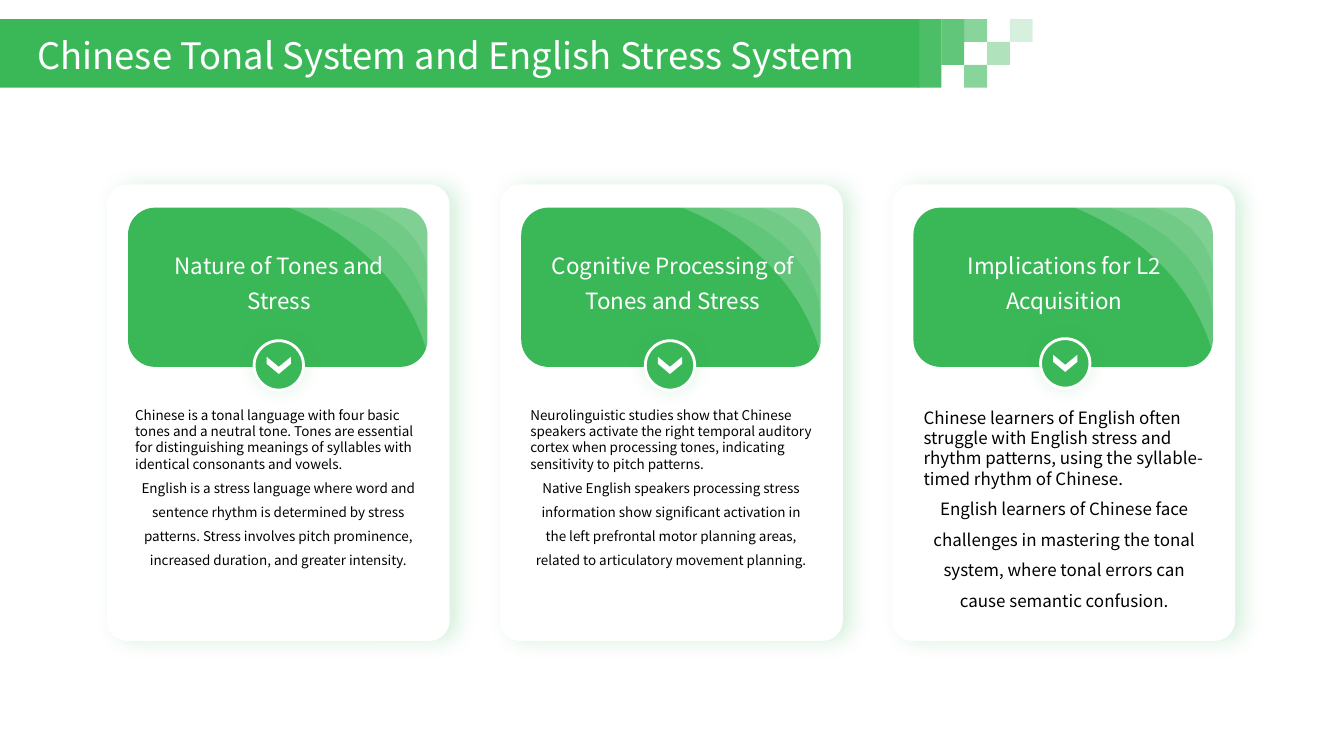
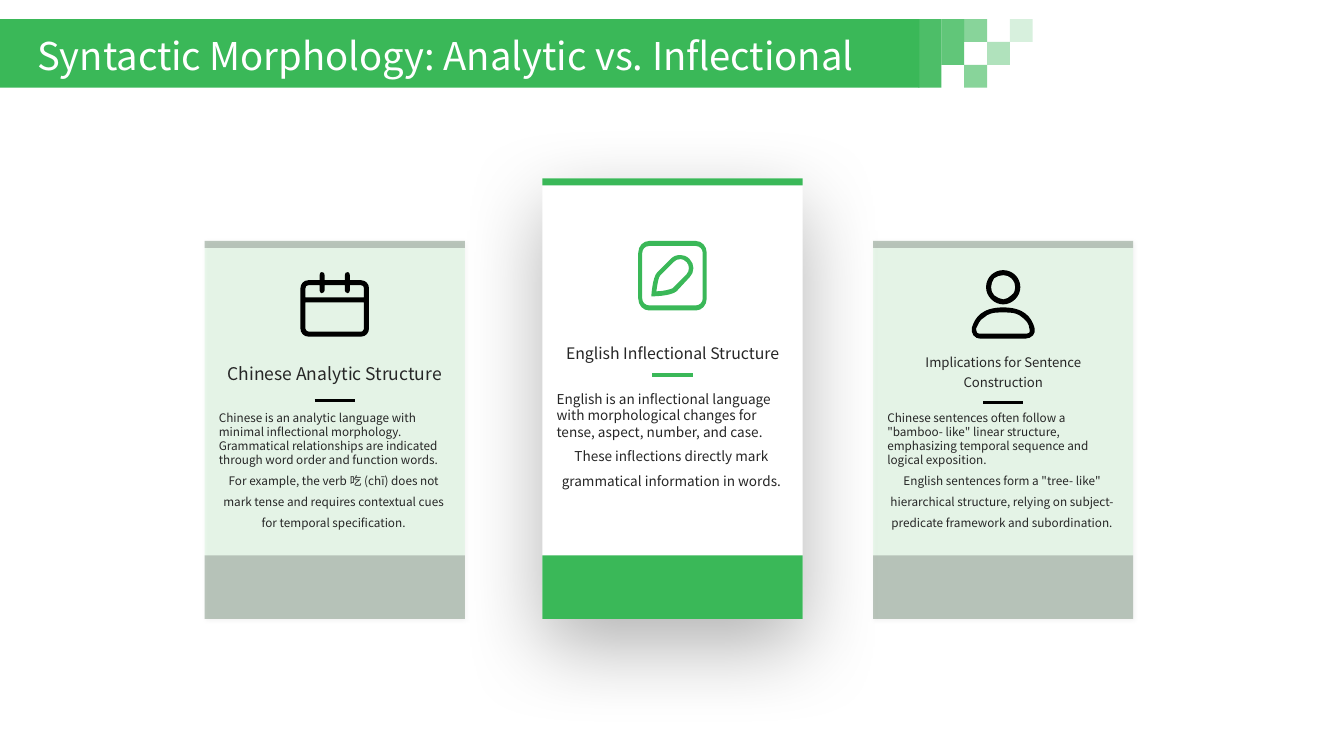
from dataclasses import dataclass

from lxml.etree import SubElement
from pptx import Presentation
from pptx.dml.color import RGBColor
from pptx.enum.shapes import MSO_CONNECTOR, MSO_SHAPE
from pptx.enum.text import MSO_ANCHOR, PP_ALIGN
from pptx.oxml.ns import qn
from pptx.util import Inches, Pt


@dataclass(frozen=True)
class Theme:
    font: str = "Noto Sans CJK SC"
    green: str = "3AB858"
    mint: str = "C2F1C8"
    white: str = "FFFFFF"
    black: str = "000000"
    ink: str = "262626"
    card_heading: float = 16
    card_body: float = 9.6
    card_body_large: float = 12.1
    column_body: float = 8.4
    column_body_large: float = 9.7


@dataclass(frozen=True)
class Shadow:
    color: str
    alpha: int
    blur: float
    dist: float
    angle: int


THEME = Theme()
CARD_GLOW = Shadow(THEME.green, 20, 13.8, 5.8, 0)
BADGE_GLOW = Shadow(THEME.green, 15, 11.5, 0, 0)
SIDE_SHADOW = Shadow(THEME.black, 15, 3, 1, 45)
CENTER_SHADOW = Shadow(THEME.black, 30, 60, 20, 90)

# Outlines in hundredths of an inch, as move, line, curve and close commands.
GLARE = "M 0 0 L 90 0 C 95 0 100 4 100 8 L 100 100 L 98 88 C 88 50 55 18 10 3 L 0 0 Z"
CALENDAR = """
M 5 30 L 5 56 C 5 56 5 57 6 58 C 6 58 7 59 8 59 L 60 59 C 61 59 62 59 62 58
C 63 57 63 56 63 56 L 63 30 Z
M 8 13 C 6 13 5 14 5 16 L 5 25 L 63 25 L 63 16 C 63 14 62 13 60 13 L 49 13 L 49 18
C 49 19 48 21 47 21 C 45 21 44 19 44 18 L 44 13 L 24 13 L 24 18
C 24 19 23 21 21 21 C 20 21 19 19 19 18 L 19 13 Z
M 21 0 C 23 0 24 1 24 3 L 24 8 L 44 8 L 44 3 C 44 1 45 0 47 0 C 48 0 49 1 49 3
L 49 8 L 60 8 C 65 8 68 12 68 16 L 68 56 C 68 60 65 64 60 64 L 8 64
C 3 64 0 60 0 56 L 0 16 C 0 12 3 8 8 8 L 19 8 L 19 3 C 19 1 20 0 21 0 Z"""
PENCIL = """
M 42 18 C 39 18 37 19 35 21 L 22 34 C 20 36 19 43 18 50 C 25 50 32 48 34 47
L 48 33 C 51 30 51 24 48 21 C 46 19 44 18 42 18 Z
M 42 14 C 45 14 48 15 51 18 C 56 23 56 31 51 36 L 38 50 C 32 55 13 55 13 55
C 13 55 14 36 19 31 L 32 18 C 35 15 38 14 42 14 Z
M 11 5 C 7 5 4 8 4 12 L 4 57 C 4 61 7 64 11 64 L 57 64 C 61 64 64 61 64 57
L 64 12 C 64 8 61 5 57 5 Z
M 11 0 L 57 0 C 63 0 68 5 68 12 L 68 57 C 68 64 63 69 57 69 L 11 69
C 5 69 0 64 0 57 L 0 12 C 0 5 5 0 11 0 Z"""
PERSON = """
M 32 5 C 35 5 38 6 40 8 C 43 11 44 14 44 17 C 44 20 43 23 40 25 C 38 27 35 29 32 29
C 29 29 26 27 23 25 C 21 23 20 20 20 17 C 20 14 21 11 23 8 C 26 6 29 5 32 5 Z
M 32 0 C 23 0 15 7 15 17 C 15 26 23 34 32 34 C 41 34 49 26 49 17 C 49 7 41 0 32 0 Z
M 32 42 C 36 42 40 42 44 43 C 47 44 49 45 51 47 C 53 48 54 50 56 52
C 57 54 58 56 58 58 C 59 60 58 61 58 62 C 57 63 55 63 54 63 L 10 63
C 8 63 7 63 6 62 C 6 61 5 60 5 58 C 6 56 7 54 8 52 C 9 50 11 48 13 47
C 15 45 17 44 20 43 C 23 42 27 42 32 42 Z
M 32 37 C 11 37 4 47 1 57 C 0 63 3 68 10 68 L 54 68 C 60 68 65 63 63 57
C 60 47 53 37 32 37 Z"""


def read_outline(outline):
    """Split outline commands into contours of points and a list of segment kinds."""
    contours, kinds, tokens = [], [], iter(outline.split())
    for command in tokens:
        if command == "Z":
            continue
        count = 3 if command == "C" else 1
        points = [(float(next(tokens)), float(next(tokens))) for _ in range(count)]
        if command == "M":
            contours.append(points)
        else:
            contours[-1] += points
            kinds.append(command)
    return contours, kinds


def bend(sp, kinds):
    """Join each three line segments that stand for a curve into one Bezier segment."""
    segments = iter(list(sp.element.iter(qn("a:lnTo"))))
    for kind in kinds:
        first = next(segments)
        if kind == "C":
            first.tag = qn("a:cubicBezTo")
            for _ in range(2):
                extra = next(segments)
                first.append(extra[0])
                extra.getparent().remove(extra)


class Deck:
    def __init__(self, theme):
        self.theme = theme
        self.prs = Presentation()
        self.prs.slide_width, self.prs.slide_height = Inches(13.33), Inches(7.5)
        self.s = None

    def new_slide(self, title, size):
        self.s = self.prs.slides.add_slide(self.prs.slide_layouts[6])
        left, top, height = 9.11, 0.19, 0.68
        unit = height / 3
        green = self.theme.green
        self.shape(0, top, left + 0.01, height, green)
        for col, row, rows, alpha in ((0, 0, 3, 90), (1, 0, 2, 80), (2, 0, 1, 60),
                                      (2, 2, 1, 60), (3, 1, 1, 40), (4, 0, 1, 20)):
            self.shape(left + col * unit, top + row * unit, unit, rows * unit, green, alpha)
        self.text(0.37, 0.27, 8.73, 0.47, title, size, self.theme.white, 1.2, PP_ALIGN.LEFT)

    def paint(self, sp, color, alpha=100, shadow=None):
        sp.fill.solid()
        sp.fill.fore_color.rgb = RGBColor.from_string(color)
        sp.line.fill.background()
        sp.shadow.inherit = False
        props = sp.element.spPr
        if alpha < 100:
            SubElement(props.find(qn("a:solidFill"))[0], qn("a:alpha"), val=str(alpha * 1000))
        if shadow:
            outer = SubElement(props.find(qn("a:effectLst")), qn("a:outerShdw"),
                               blurRad=str(Pt(shadow.blur)), dist=str(Pt(shadow.dist)),
                               dir=str(shadow.angle * 60000), algn="ctr", rotWithShape="0")
            clr = SubElement(outer, qn("a:srgbClr"), val=shadow.color)
            SubElement(clr, qn("a:alpha"), val=str(shadow.alpha * 1000))

    def shape(self, x, y, w, h, color, alpha=100, kind=MSO_SHAPE.RECTANGLE, adj=None,
              shadow=None):
        sp = self.s.shapes.add_shape(kind, Inches(x), Inches(y), Inches(w), Inches(h))
        if adj is not None:
            sp.adjustments[0] = adj
        self.paint(sp, color, alpha, shadow)
        return sp

    def outline(self, x, y, outline, color, alpha=100, w=1, h=1):
        """Draw outline commands as one filled freeform, stretched by w and h."""
        contours, kinds = read_outline(outline)
        contours = [[(Inches(x + px * w / 100), Inches(y + py * h / 100)) for px, py in c]
                    for c in contours]
        fb = self.s.shapes.build_freeform(*contours[0][0], scale=1.0)
        for i, contour in enumerate(contours):
            if i:
                fb.move_to(*contour[0])
            fb.add_line_segments(contour[1:], close=True)
        sp = fb.convert_to_shape()
        bend(sp, kinds + ["L"] * 0)
        self.paint(sp, color, alpha)

    def rule(self, x, y, w, color):
        line = self.s.shapes.add_connector(MSO_CONNECTOR.STRAIGHT, Inches(x), Inches(y),
                                           Inches(x + w), Inches(y))
        line.line.color.rgb = RGBColor.from_string(color)
        line.line.width = Pt(2.25)
        SubElement(line.element.spPr, qn("a:effectLst"))

    def frame(self, x, y, w, h, pad_x, pad_y, anchor):
        tf = self.s.shapes.add_textbox(Inches(x), Inches(y), Inches(w), Inches(h)).text_frame
        tf.word_wrap = True
        tf.vertical_anchor = anchor
        tf.margin_left = tf.margin_right = Inches(pad_x)
        tf.margin_top = tf.margin_bottom = Inches(pad_y)
        return tf

    def style(self, p, size, color, spacing, align):
        p.alignment = align
        p.line_spacing = spacing
        for r in p.runs:
            r.font.size = Pt(size)
            r.font.name = self.theme.font
            r.font.color.rgb = RGBColor.from_string(color)
            SubElement(r.font._element, qn("a:ea"), typeface=self.theme.font)

    def text(self, x, y, w, h, text, size, color, spacing=1.3, align=PP_ALIGN.CENTER,
             pad_x=0, pad_y=0):
        tf = self.frame(x, y, w, h, pad_x, pad_y, MSO_ANCHOR.MIDDLE)
        tf.text = text
        self.style(tf.paragraphs[0], size, color, spacing, align)

    def body(self, x, y, w, h, texts, size, color, pad_y=0):
        """Write a tight left-aligned paragraph and an open centred one."""
        tf = self.frame(x, y, w, h, 0, pad_y, MSO_ANCHOR.TOP)
        tf.text = "\n".join(texts)
        lead, follow = tf.paragraphs
        self.style(lead, size, color, 1.0, PP_ALIGN.LEFT)
        self.style(follow, size, color, 1.5, PP_ALIGN.CENTER)

    def badge(self, x, y):
        size, w, h = 0.49, 0.17, 0.24
        ring = self.shape(x, y, size, size, self.theme.green, kind=MSO_SHAPE.OVAL,
                          shadow=BADGE_GLOW)
        ring.line.color.rgb = RGBColor.from_string(self.theme.white)
        ring.line.width = Pt(2)
        arrow = self.shape(x + (size - w) / 2, y + (size - h) / 2, w, h, self.theme.white,
                           kind=MSO_SHAPE.CHEVRON, adj=0.59)
        arrow.rotation = 90

    def card(self, x, heading, heading_at, texts, body_at, size, badge_at):
        th = self.theme
        self.shape(x, 1.83, 3.4, 4.53, th.white, kind=MSO_SHAPE.ROUNDED_RECTANGLE, adj=0.06,
                   shadow=CARD_GLOW)
        self.shape(x + 0.21, 2.06, 2.97, 1.58, th.green, kind=MSO_SHAPE.ROUNDED_RECTANGLE,
                   adj=0.17)
        for dx, y, w, h, alpha in ((1.54, 1.97, 1.68, 1.78, 20), (2.05, 2.03, 1.13, 1.07, 10),
                                   (2.59, 2.06, 0.59, 0.63, 10)):
            self.outline(x + dx, y, GLARE, th.white, alpha, w, h)
        left, width = heading_at
        self.text(left, 2.3, width, 0.94, heading, th.card_heading, th.white,
                  pad_x=0.12, pad_y=0.06)
        left, width = body_at
        self.body(left, 3.98, width, 2.12, texts, size, th.black, pad_y=0.06)
        self.badge(*badge_at)

    def column(self, x, top, icon, icon_at, heading, heading_size, heading_y, rule_y,
               texts, size, featured=False):
        th = self.theme
        width, bottom, foot = 2.58, 6.14, 0.63
        panel, panel_alpha, shadow = th.mint, 30, SIDE_SHADOW
        bar, bar_alpha, accent = th.black, 20, th.black
        if featured:
            panel, panel_alpha, shadow = th.white, 100, CENTER_SHADOW
            bar, bar_alpha, accent = th.green, 100, th.green
        self.shape(x, top, width, bottom - top, panel, panel_alpha, shadow=shadow)
        self.shape(x, top, width, 0.07, bar, bar_alpha)
        self.shape(x, bottom - foot, width, foot, bar, bar_alpha)
        self.outline(*icon_at, icon, accent)
        self.rule(x + 1.09, rule_y, 0.4, accent)
        self.text(x + 0.15, heading_y, 2.28, 0.4, heading, heading_size, th.ink)
        self.body(x + 0.14, heading_y + 0.6, 2.28, 1.38, texts, size, th.ink)


def tones_slide(deck):
    deck.new_slide("Chinese Tonal System and English Stress System", 26)
    deck.card(
        1.06, "Nature of Tones and Stress", (1.35, 2.84),
        ("Chinese is a tonal language with four basic tones and a neutral tone. Tones are "
         "essential for distinguishing meanings of syllables with identical consonants and "
         "vowels.",
         "English is a stress language where word and sentence rhythm is determined by "
         "stress patterns. Stress involves pitch prominence, increased duration, and "
         "greater intensity."),
        (1.34, 2.84), THEME.card_body, (2.52, 3.38))
    deck.card(
        4.96, "Cognitive Processing of Tones and Stress", (5.28, 2.79),
        ("Neurolinguistic studies show that Chinese speakers activate the right temporal "
         "auditory cortex when processing tones, indicating sensitivity to pitch patterns.",
         "Native English speakers processing stress information show significant activation "
         "in the left prefrontal motor planning areas, related to articulatory movement "
         "planning."),
        (5.26, 2.79), THEME.card_body, (6.4, 3.38))
    deck.card(
        8.85, "Implications for L2 Acquisition", (9.15, 2.81),
        ("Chinese learners of English often struggle with English stress and rhythm "
         "patterns, using the syllable- timed rhythm of Chinese.",
         "English learners of Chinese face challenges in mastering the tonal system, where "
         "tonal errors can cause semantic confusion."),
        (9.16, 2.79), THEME.card_body_large, (10.32, 3.36))


def morphology_slide(deck):
    deck.new_slide("Syntactic Morphology: Analytic vs. Inflectional", 27.3)
    deck.column(
        8.66, 2.39, PERSON, (9.63, 2.68), "Implications for Sentence Construction", 9.4,
        3.47, 3.99,
        ('Chinese sentences often follow a "bamboo- like" linear structure, emphasizing '
         "temporal sequence and logical exposition.",
         'English sentences form a "tree- like" hierarchical structure, relying on subject- '
         "predicate framework and subordination."), THEME.column_body)
    deck.column(
        2.03, 2.39, CALENDAR, (2.98, 2.7), "Chinese Analytic Structure", 12.5, 3.47, 3.97,
        ("Chinese is an analytic language with minimal inflectional morphology. Grammatical "
         "relationships are indicated through word order and function words.",
         "For example, the verb 吃 (chī) does not mark tense and requires contextual cues "
         "for temporal specification."), THEME.column_body)
    deck.column(
        5.38, 1.77, PENCIL, (6.33, 2.39), "English Inflectional Structure", 11.3, 3.28, 3.72,
        ("English is an inflectional language with morphological changes for tense, aspect, "
         "number, and case.",
         "These inflections directly mark grammatical information in words."),
        THEME.column_body_large, featured=True)


def main():
    deck = Deck(THEME)
    tones_slide(deck)
    morphology_slide(deck)
    deck.prs.save("out.pptx")


if __name__ == "__main__":
    main()
